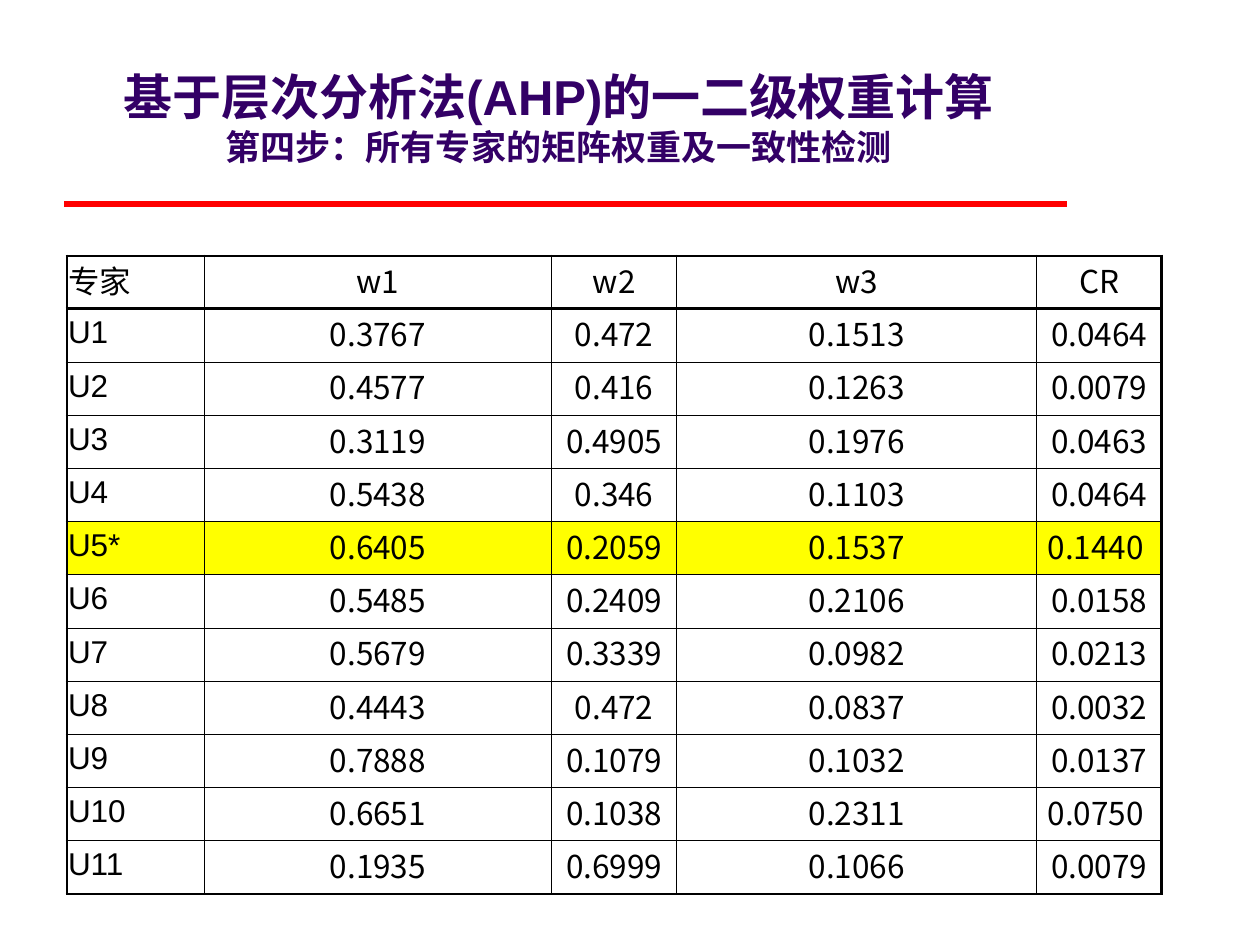
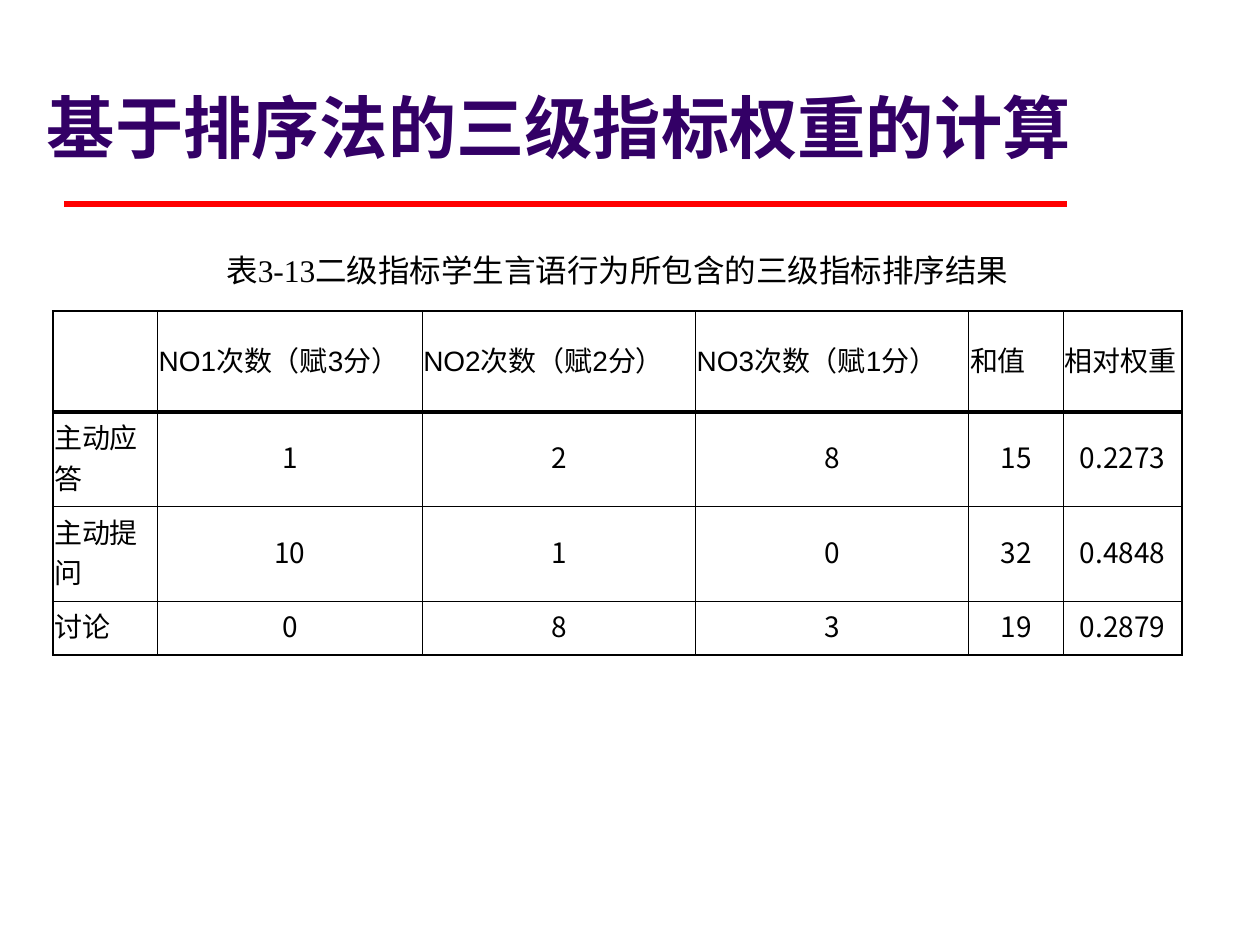
"""Build two slides of expert and indicator weight tables."""
from dataclasses import dataclass
from typing import NamedTuple

from lxml.etree import SubElement
from pptx import Presentation
from pptx.dml.color import RGBColor
from pptx.enum.shapes import MSO_CONNECTOR
from pptx.enum.text import MSO_ANCHOR, MSO_AUTO_SIZE, PP_ALIGN
from pptx.oxml.ns import qn
from pptx.util import Inches, Pt

PURPLE = RGBColor(0x33, 0x00, 0x66)
RED = RGBColor(0xFF, 0x00, 0x00)
YELLOW = RGBColor(0xFF, 0xFF, 0x00)
BLACK = RGBColor(0x00, 0x00, 0x00)
ARIAL, TIMES, NOTO = "Arial", "Times New Roman", "Noto Sans CJK SC"
THIN, EDGE, HEAVY = 0.5, 1.5, 2


class Line(NamedTuple):
    text: str
    size: int


class Part(NamedTuple):
    text: str
    font: str


@dataclass
class Grid:
    left: float
    top: float
    cols: list[float]
    heights: list[float]
    rows: list[list[str]]
    size: int
    head_font: str
    head_align: PP_ALIGN
    caption: tuple[Part, ...] = ()
    marked: str = ""


EXPERTS = Grid(
    0.53, 2.03, [1.09, 2.76, 0.99, 2.86, 0.99], [0.41] * 12,
    [
        ["专家", "w1", "w2", "w3", "CR"],
        ["U1", "0.3767", "0.472", "0.1513", "0.0464"],
        ["U2", "0.4577", "0.416", "0.1263", "0.0079"],
        ["U3", "0.3119", "0.4905", "0.1976", "0.0463"],
        ["U4", "0.5438", "0.346", "0.1103", "0.0464"],
        ["U5*", "0.6405", "0.2059", "0.1537", "0.1440 "],
        ["U6", "0.5485", "0.2409", "0.2106", "0.0158"],
        ["U7", "0.5679", "0.3339", "0.0982", "0.0213"],
        ["U8", "0.4443", "0.472", "0.0837", "0.0032"],
        ["U9", "0.7888", "0.1079", "0.1032", "0.0137"],
        ["U10", "0.6651", "0.1038", "0.2311", "0.0750 "],
        ["U11", "0.1935", "0.6999", "0.1066", "0.0079"],
    ],
    18, NOTO, PP_ALIGN.CENTER, marked="U5*",
)
RANKS = Grid(
    0.42, 1.84, [0.83, 2.1, 2.17, 2.17, 0.75, 0.94], [0.63, 0.8, 0.75, 0.75, 0.43],
    [
        ["", "NO1次数（赋3分）", "NO2次数（赋2分）", "NO3次数（赋1分）", "和值", "相对权重"],
        ["主动应答", "1", "2", "8", "15", "0.2273"],
        ["主动提问", "10", "1", "0", "32", "0.4848"],
        ["讨论", "0", "8", "3", "19", "0.2879"],
    ],
    16, ARIAL, PP_ALIGN.LEFT,
    (Part("表", ARIAL), Part("3-13", TIMES), Part("二级指标学生言语行为所包含的三级指标排序结果", NOTO)),
)
SLIDES = [
    ((Line("基于层次分析法(AHP)的一二级权重计算", 28),
      Line("第四步：所有专家的矩阵权重及一致性检测", 20)), EXPERTS),
    ((Line("基于排序法的三级指标权重的计算", 39),), RANKS),
]


def set_title(slide, lines: tuple[Line, ...]) -> None:
    """Fill the title and draw the red rule under it."""
    title = slide.shapes.title
    title.left, title.top = Inches(0.2), Inches(0.59)
    title.width, title.height = Inches(8.47), Inches(0.79)
    frame = title.text_frame
    frame.auto_size = MSO_AUTO_SIZE.NONE
    frame.word_wrap = True
    frame.vertical_anchor = MSO_ANCHOR.BOTTOM
    para = frame.paragraphs[0]
    para.alignment = PP_ALIGN.CENTER
    para.font.name, para.font.bold = ARIAL, True
    para.font.color.rgb = PURPLE
    for i, line in enumerate(lines):
        if i:
            para.add_line_break()
        run = para.add_run()
        run.text, run.font.size = line.text, Pt(line.size)
    rule = slide.shapes.add_connector(
        MSO_CONNECTOR.STRAIGHT, Inches(0.51), Inches(1.62), Inches(8.47), Inches(1.62))
    rule.line.color.rgb, rule.line.width = RED, Pt(3)
    SubElement(rule._element.spPr, qn("a:effectLst"))


def set_edges(cell, left: float, right: float, top: float, bottom: float) -> None:
    """Set the border widths in points, where zero means no border."""
    props = cell._tc.get_or_add_tcPr()
    for side, width in zip("LRTB", (left, right, top, bottom)):
        edge = SubElement(props, qn(f"a:ln{side}"), w=str(Pt(width)))
        if width:
            fill = SubElement(edge, qn("a:solidFill"))
            SubElement(fill, qn("a:srgbClr"), val=str(BLACK))
        else:
            SubElement(edge, qn("a:noFill"))


def set_cell(cell, parts: tuple[Part, ...], size: int, align: PP_ALIGN,
             fill: RGBColor | None = None) -> None:
    """Write and format the text and fill of one cell."""
    cell.margin_left = cell.margin_right = cell.margin_top = Inches(0.01)
    cell.margin_bottom = Inches(0.05)
    cell.vertical_anchor = MSO_ANCHOR.MIDDLE
    if fill is None:
        cell.fill.background()
    else:
        cell.fill.solid()
        cell.fill.fore_color.rgb = fill
    para = cell.text_frame.paragraphs[0]
    para.alignment = align
    para.font.size, para.font.color.rgb = Pt(size), BLACK
    if len(parts) == 1:
        para.font.name = parts[0].font
    for part in parts:
        if part.text:
            run = para.add_run()
            run.text = part.text
            if len(parts) > 1:
                run.font.name = part.font


def add_grid(slide, grid: Grid) -> None:
    """Draw a table with a heavy frame, thin inner lines and optional caption row."""
    table = slide.shapes.add_table(
        len(grid.heights), len(grid.cols), Inches(grid.left), Inches(grid.top),
        Inches(sum(grid.cols)), Inches(sum(grid.heights))).table
    table.first_row = table.horz_banding = False
    for col, width in zip(table.columns, grid.cols):
        col.width = Inches(width)
    for row, height in zip(table.rows, grid.heights):
        row.height = Inches(height)

    start = len(grid.heights) - len(grid.rows)
    end = len(grid.cols) - 1
    if grid.caption:
        for x in range(end + 1):
            set_edges(table.cell(0, x), 0, 0, 0, EDGE)
        table.cell(0, 0).merge(table.cell(0, end))
        set_cell(table.cell(0, 0), grid.caption, 18, PP_ALIGN.CENTER)

    last = len(grid.rows) - 1
    for y, row in enumerate(grid.rows):
        top = {0: EDGE, 1: HEAVY}.get(y, THIN)
        bottom = {0: HEAVY, last: EDGE}.get(y, THIN)
        fill = YELLOW if grid.marked and row[0] == grid.marked else None
        for x, text in enumerate(row):
            font, align = NOTO, PP_ALIGN.CENTER
            if x == 0:
                font, align = ARIAL, PP_ALIGN.LEFT
            elif y == 0:
                font, align = grid.head_font, grid.head_align
            cell = table.cell(start + y, x)
            set_edges(cell, EDGE if x == 0 else THIN, EDGE if x == end else THIN, top, bottom)
            set_cell(cell, (Part(text, font),), grid.size, align, fill)


def main() -> None:
    """Build and save the deck."""
    deck = Presentation()
    deck.slide_width, deck.slide_height = Inches(10), Inches(7.5)
    for lines, grid in SLIDES:
        slide = deck.slides.add_slide(deck.slide_layouts[5])
        set_title(slide, lines)
        add_grid(slide, grid)
    deck.save("out.pptx")


if __name__ == "__main__":
    main()
